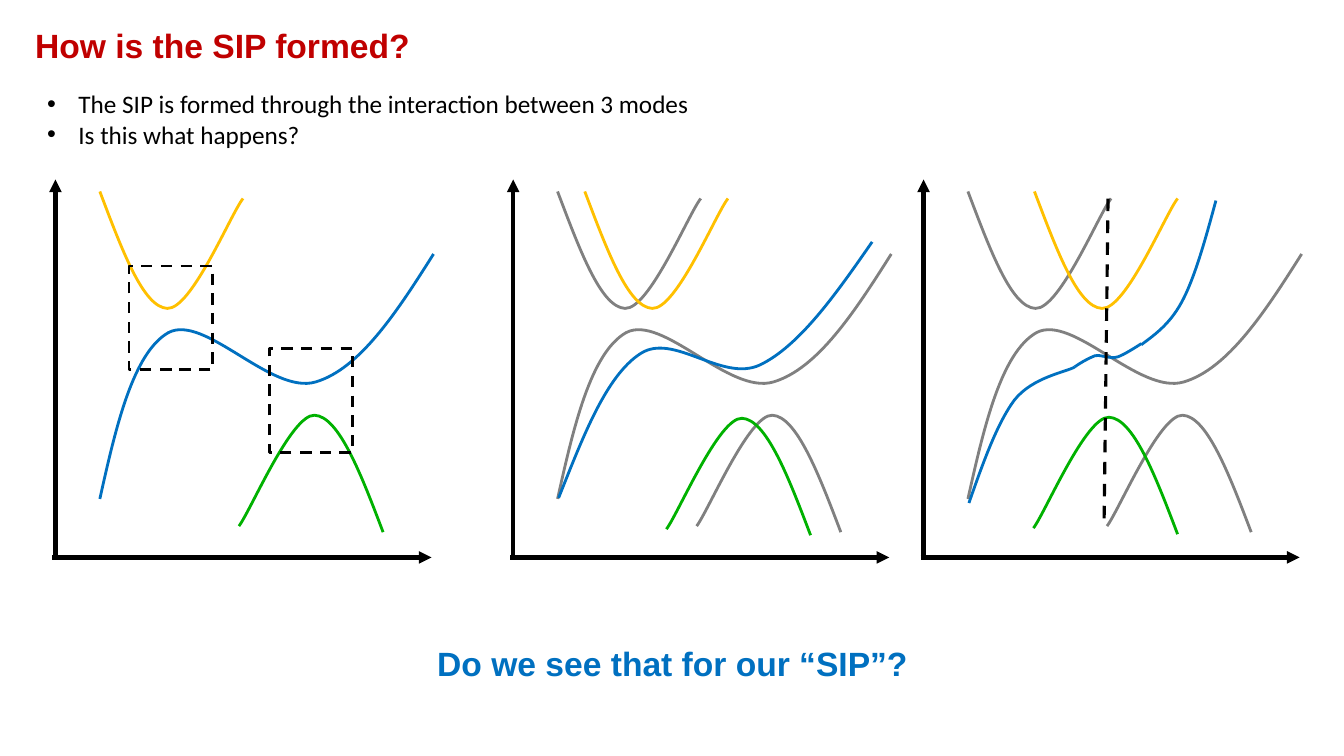
from lxml import etree
from pptx import Presentation
from pptx import util as u
from pptx.dml.color import RGBColor
from pptx.enum import dml, shapes, text
from pptx.oxml.ns import qn

BLACK, GRAY, RED = "000000", "808080", "C00000"
GOLD, GREEN, BLUE = "FFC000", "00B100", "0070C0"

# Curves as Bezier points in inches from the top of the vertical axis
UPPER = [(0.44, 0.12), (0.66, 0.7), (0.87, 1.27), (1.11, 1.28),
         (1.35, 1.29), (1.74, 0.34), (1.86, 0.19)]
LOWER = [(3.25, 3.5), (3.03, 2.92), (2.81, 2.35), (2.57, 2.34),
         (2.34, 2.33), (1.94, 3.28), (1.82, 3.44)]
MIDDLE = [(0.44, 3.17), (0.6, 2.45), (0.77, 1.72), (1.12, 1.52), (1.48, 1.33),
          (2.14, 2.14), (2.58, 2.01), (3.02, 1.88), (3.39, 1.31), (3.75, 0.74)]
CLOSER = [(0.45, 3.16), (0.69, 2.56), (0.92, 1.95), (1.26, 1.73), (1.59, 1.51),
          (2.07, 2.02), (2.45, 1.84), (2.84, 1.65), (3.2, 1.14), (3.56, 0.62)]
MERGED = [
    [(1.5, 1.86), (1.57, 1.81), (1.65, 1.77), (1.7, 1.75), (1.76, 1.74),
     (1.77, 1.76), (1.81, 1.76), (1.85, 1.76), (1.87, 1.78), (1.93, 1.76),
     (1.99, 1.74), (2.13, 1.65), (2.16, 1.63)],
    [(2.16, 1.64), (2.31, 1.53), (2.46, 1.42), (2.58, 1.18), (2.7, 0.94),
     (2.8, 0.58), (2.9, 0.21)],
    [(0.45, 3.21), (0.59, 2.81), (0.73, 2.42), (0.9, 2.19), (1.08, 1.96),
     (1.42, 1.91), (1.5, 1.86)],
]


def color(code):
    return RGBColor.from_string(code)


def stroke(shape, code, width, dash=False):
    shape.line.color.rgb = color(code)
    shape.line.width = u.Pt(width)
    if dash:
        shape.line.dash_style = dml.MSO_LINE.DASH


def line(group, start, end, width, dash=False, arrow=False):
    ends = [u.Inches(v) for v in (*start, *end)]
    item = group.shapes.add_connector(shapes.MSO_CONNECTOR.STRAIGHT, *ends)
    stroke(item, BLACK, width, dash)
    if arrow:
        etree.SubElement(item.line._get_or_add_ln(), qn("a:tailEnd"), type="triangle")
    etree.SubElement(item._element.spPr, qn("a:effectLst"))


def curve(group, box, points, code, shift=(0, 0)):
    left, top = box[0] + shift[0], box[1] + shift[1]
    spots = [(u.Inches(left + x), u.Inches(top + y)) for x, y in points]
    form = group.shapes.build_freeform(*spots[0])
    form.add_line_segments(spots[1:], close=False)
    item = form.convert_to_shape()
    item.shadow.inherit = False
    item.fill.background()
    stroke(item, code, 2)
    # Every three straight segments become one Bezier segment
    steps = list(item._element.iter(qn("a:lnTo")))
    track = steps[0].getparent()
    for i in range(0, len(steps), 3):
        bend = etree.SubElement(track, qn("a:cubicBezTo"))
        for step in steps[i:i + 3]:
            bend.append(step[0])
            track.remove(step)


def frame(group, box, x, y):
    item = group.shapes.add_shape(
        shapes.MSO_SHAPE.RECTANGLE, u.Inches(box[0] + x), u.Inches(box[1] + y),
        u.Inches(0.83), u.Inches(1.03))
    item.shadow.inherit = False
    item.fill.background()
    stroke(item, BLACK, 2, dash=True)


def axes(slide, box):
    left, top, width, height = box
    group = slide.shapes.add_group_shape()
    base = top + height
    line(group, (left, base), (left, top), 3, arrow=True)
    line(group, (left - 0.03, base), (left + width, base), 3, arrow=True)
    return group


def modes(group, box, codes):
    for points, code in zip((UPPER, LOWER, MIDDLE), codes):
        curve(group, box, points, code)


def apart(slide, box):
    group = axes(slide, box)
    modes(group, box, (GOLD, GREEN, BLUE))
    frame(group, box, 0.73, 0.86)
    frame(group, box, 2.12, 1.68)


def nearer(slide, box):
    group = axes(slide, box)
    modes(group, box, [GRAY] * 3)
    curve(group, box, CLOSER, BLUE)
    curve(group, box, UPPER, GOLD, (0.27, 0))
    curve(group, box, LOWER, GREEN, (-0.3, 0.03))


def aligned(slide, box):
    group = axes(slide, box)
    modes(group, box, [GRAY] * 3)
    curve(group, box, UPPER, GOLD, (0.66, 0))
    curve(group, box, LOWER, GREEN, (-0.73, 0.02))
    for points in MERGED:
        curve(group, box, points, BLUE)
    left, top = box[:2]
    line(group, (left + 1.83, top + 0.19), (left + 1.79, top + 3.44), 2.25, dash=True)


def words(slide, box, lines, style, code, align=text.PP_ALIGN.LEFT,
          anchor=text.MSO_ANCHOR.TOP, bullet=False):
    body = slide.shapes.add_textbox(*map(u.Inches, box)).text_frame
    body.word_wrap = True
    body.vertical_anchor = anchor
    for i, wording in enumerate(lines):
        para = body.add_paragraph() if i else body.paragraphs[0]
        para.alignment = align
        if bullet:
            props = para._p.get_or_add_pPr()
            indent = u.Inches(0.31)
            props.set("marL", str(indent))
            props.set("indent", str(-indent))
            etree.SubElement(props, qn("a:buFont"), typeface="Arial")
            etree.SubElement(props, qn("a:buChar"), char="•")
        run = para.add_run()
        run.text = wording
        for key, value in style.items():
            setattr(run.font, key, value)
        run.font.color.rgb = color(code)


def main():
    deck = Presentation()
    deck.slide_width, deck.slide_height = u.Inches(13.33), u.Inches(7.5)
    slide = deck.slides.add_slide(deck.slide_layouts[6])
    strong = {"name": "Arial", "size": u.Pt(24), "bold": True}
    plain = {"name": "Calibri", "size": u.Pt(18)}

    # Title and points
    words(slide, (0.25, 0.22, 9.08, 0.45), ["How is the SIP formed?"],
          strong, RED, anchor=text.MSO_ANCHOR.MIDDLE)
    words(slide, (0.37, 0.83, 12.3, 0.71),
          ["The SIP is formed through the interaction between 3 modes",
           "Is this what happens?"], plain, BLACK, bullet=True)

    # Three band diagrams
    for draw, left in ((apart, 0.55), (nearer, 5.09), (aligned, 9.16)):
        draw(slide, (left, 1.78, 3.73, 3.75))

    # Closing question
    words(slide, (3.88, 6.33, 5.58, 0.5), ["Do we see that for our “SIP”?"],
          strong, BLUE, align=text.PP_ALIGN.CENTER)
    deck.save("out.pptx")


if __name__ == "__main__":
    main()
